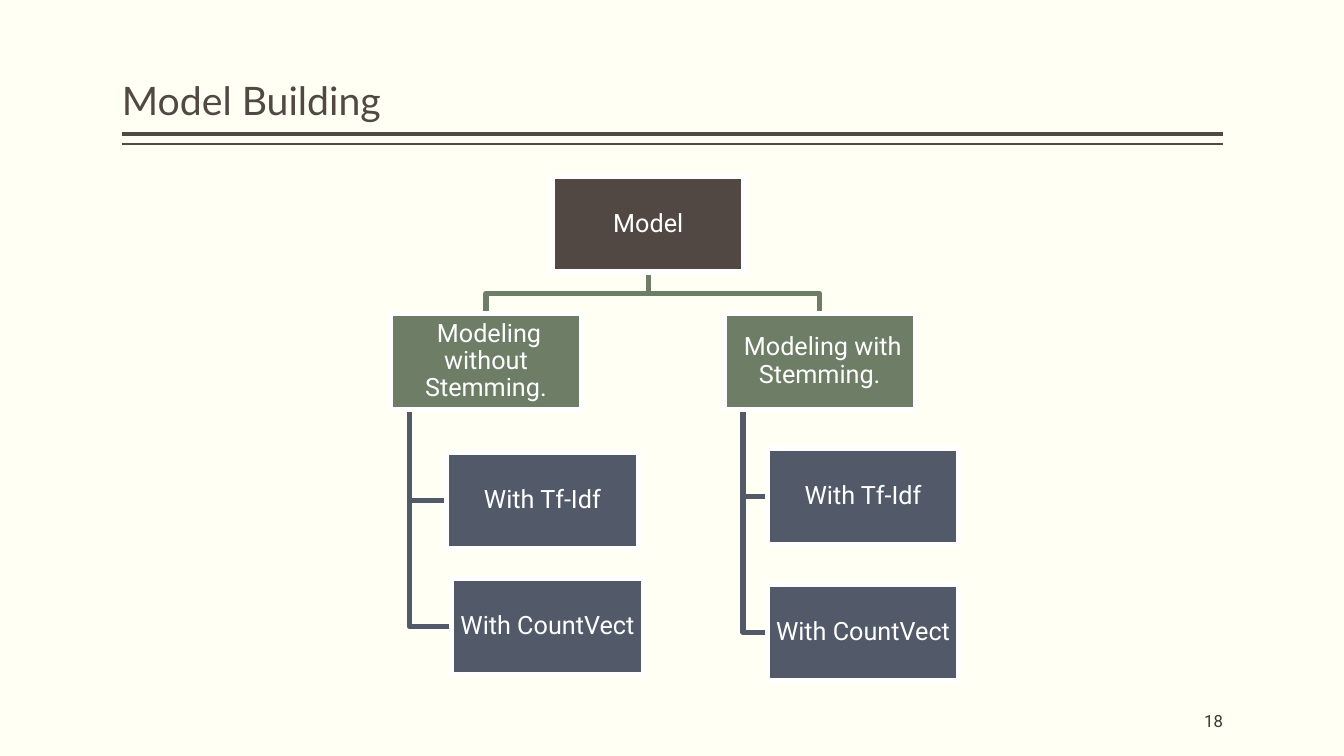
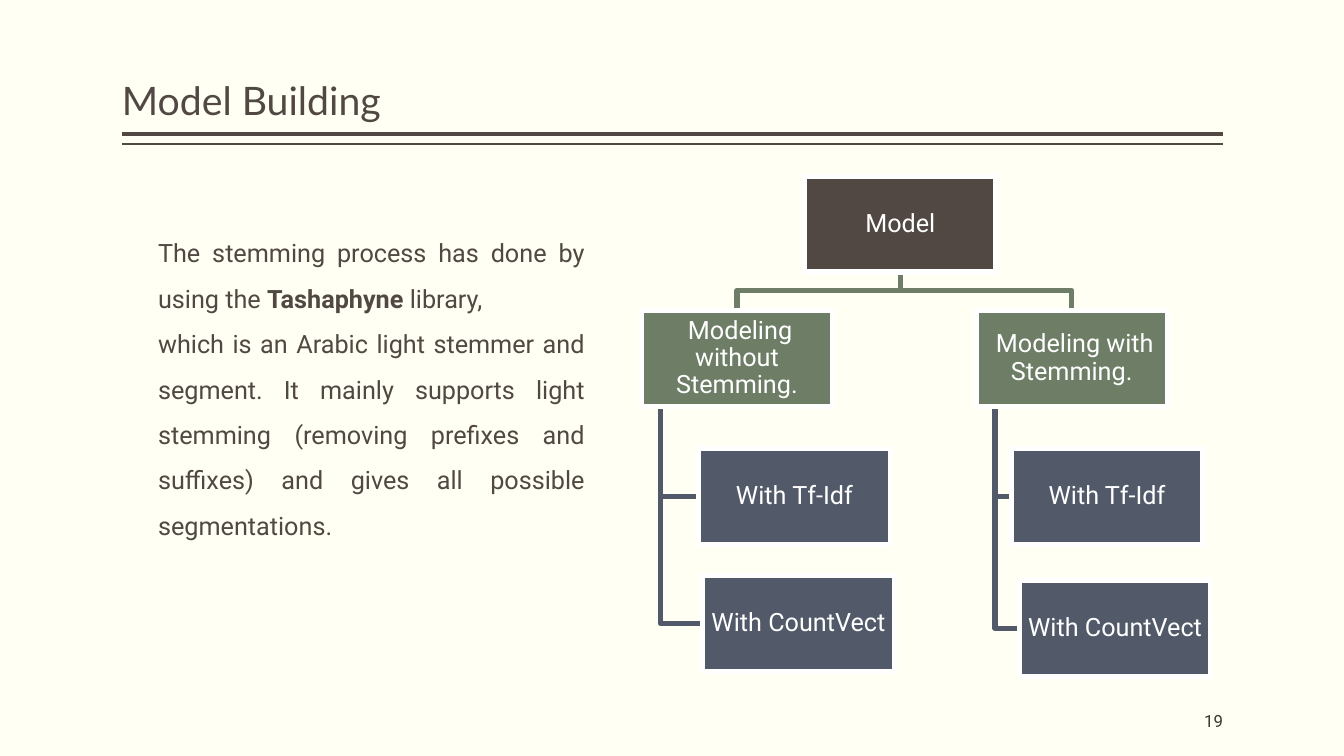
from pptx import Presentation
from pptx.dml.color import RGBColor
from pptx.enum.shapes import MSO_CONNECTOR, MSO_SHAPE
from pptx.enum.text import MSO_ANCHOR, MSO_AUTO_SIZE, PP_ALIGN
from pptx.oxml.ns import qn
from pptx.util import Inches, Pt
from lxml.etree import SubElement

IVORY = RGBColor(0xFF, 0xFF, 0xF3)
WHITE = RGBColor(0xFF, 0xFF, 0xFF)
BROWN = RGBColor(0x51, 0x48, 0x43)
DARK_BROWN = RGBColor(0x3D, 0x36, 0x32)
GREEN = RGBColor(0x6D, 0x7D, 0x66)
SLATE = RGBColor(0x52, 0x5A, 0x6A)

HEADING_FONT = {"name": "Lato", "size": Pt(28), "bold": False}
BODY_FONT = {"name": "Roboto", "size": Pt(18), "bold": False}
BOLD_FONT = BODY_FONT | {"bold": True}
NUMBER_FONT = BODY_FONT | {"size": Pt(12)}

MARGIN, CONTENT_WIDTH = 1.21, 10.92
NODE_WIDTH, NODE_HEIGHT = 1.9, 0.95
TREE_LINE = Pt(3.78)
SPINE_INDENT, ELBOW_RISE = 0.19, 0.2

BRANCH_TEXTS = (" Modeling without Stemming.", " Modeling with Stemming.")
LEAF_TEXTS = ("With Tf-Idf", "With CountVect")

WIDE_TREE = {
    "root_left": 1.61,
    "branch_top": 1.36,
    "branches": (
        (0, ((0.56, 2.74), (0.61, 3.99))),
        (3.31, ((3.74, 2.7), (3.74, 4.05))),
    ),
}
SIDE_TREE = {
    "root_left": 1.62,
    "branch_top": 1.33,
    "branches": (
        (0, ((0.57, 2.7), (0.61, 3.96))),
        (3.32, ((3.67, 2.7), (3.75, 4.01))),
    ),
}

STEMMING_TEXT = (
    (
        ("The stemming process has done by using the ", BODY_FONT),
        ("Tashaphyne", BOLD_FONT),
        (" library,", BODY_FONT),
    ),
    (
        (
            "which is an Arabic light stemmer and segment. It mainly supports "
            "light stemming (removing prefixes and suffixes) and gives all "
            "possible segmentations.",
            BODY_FONT,
        ),
    ),
)


def apply(target, values):
    for name, value in values.items():
        setattr(target, name, value)


def set_insets(frame, across, down):
    apply(frame, {
        "margin_left": Inches(across),
        "margin_right": Inches(across),
        "margin_top": Inches(down),
        "margin_bottom": Inches(down),
    })


def add_span(para, text, font, color):
    span = para.add_run()
    span.text = text
    apply(span.font, font)
    span.font.color.rgb = color


def add_title(page, text):
    title = page.shapes.title
    apply(title, {
        "left": Inches(MARGIN),
        "top": Inches(0.08),
        "width": Inches(CONTENT_WIDTH),
        "height": Inches(1.2),
    })
    frame = title.text_frame
    apply(frame, {
        "word_wrap": True,
        "auto_size": MSO_AUTO_SIZE.NONE,
        "vertical_anchor": MSO_ANCHOR.BOTTOM,
    })
    set_insets(frame, 0, 0.05)
    para = frame.paragraphs[0]
    apply(para, {"alignment": PP_ALIGN.LEFT, "line_spacing": 0.9})
    add_span(para, text, HEADING_FONT, BROWN)


def add_title_rules(page):
    for top, weight in ((1.33, 3), (1.43, 1)):
        rule = page.shapes.add_connector(
            MSO_CONNECTOR.STRAIGHT,
            Inches(MARGIN), Inches(top),
            Inches(MARGIN + CONTENT_WIDTH), Inches(top),
        )
        rule.line.color.rgb = BROWN
        rule.line.width = Pt(weight)
        SubElement(rule._element.spPr, qn("a:effectLst"))


def add_page_number(page, number):
    box = page.shapes.add_textbox(
        Inches(10.13), Inches(6.95), Inches(2), Inches(0.4)
    )
    frame = box.text_frame
    apply(frame, {"word_wrap": True, "vertical_anchor": MSO_ANCHOR.MIDDLE})
    set_insets(frame, 0, 0.05)
    para = frame.paragraphs[0]
    para.alignment = PP_ALIGN.RIGHT
    add_span(para, str(number), NUMBER_FONT, DARK_BROWN)


def add_page(deck, title, number):
    page = deck.slides.add_slide(deck.slide_layouts[5])
    add_title(page, title)
    add_title_rules(page)
    add_page_number(page, number)
    return page


def add_node(page, left, top, text, color):
    node = page.shapes.add_shape(
        MSO_SHAPE.RECTANGLE,
        Inches(left), Inches(top), Inches(NODE_WIDTH), Inches(NODE_HEIGHT),
    )
    node.shadow.inherit = False
    node.fill.solid()
    node.fill.fore_color.rgb = color
    node.line.color.rgb = WHITE
    node.line.width = TREE_LINE
    frame = node.text_frame
    apply(frame, {"word_wrap": True, "vertical_anchor": MSO_ANCHOR.MIDDLE})
    set_insets(frame, 0.01, 0.01)
    para = frame.paragraphs[0]
    apply(para, {"alignment": PP_ALIGN.CENTER, "line_spacing": 0.9})
    add_span(para, text, BODY_FONT, WHITE)


def add_elbow(page, points, color):
    start, *rest = [(Inches(x), Inches(y)) for x, y in points]
    builder = page.shapes.build_freeform(*start, scale=1.0)
    builder.add_line_segments(rest, close=False)
    elbow = builder.convert_to_shape()
    elbow.shadow.inherit = False
    elbow.fill.background()
    elbow.line.color.rgb = color
    elbow.line.width = TREE_LINE


def add_tree(page, left, top, layout):
    root_left = left + layout["root_left"]
    root_center = root_left + NODE_WIDTH / 2
    branch_top = top + layout["branch_top"]
    elbow_top = branch_top - ELBOW_RISE
    nodes = [(root_left, top, "Model", BROWN)]

    for branch_text, (offset, leaves) in zip(BRANCH_TEXTS, layout["branches"]):
        branch_left = left + offset
        branch_center = branch_left + NODE_WIDTH / 2
        spine = branch_left + SPINE_INDENT
        add_elbow(page, (
            (root_center, top + NODE_HEIGHT),
            (root_center, elbow_top),
            (branch_center, elbow_top),
            (branch_center, branch_top),
        ), GREEN)
        nodes.append((branch_left, branch_top, branch_text, GREEN))
        for leaf_text, (leaf_x, leaf_y) in zip(LEAF_TEXTS, leaves):
            leaf_left, leaf_top = left + leaf_x, top + leaf_y
            leaf_middle = leaf_top + NODE_HEIGHT / 2
            add_elbow(page, (
                (spine, branch_top + NODE_HEIGHT),
                (spine, leaf_middle),
                (leaf_left, leaf_middle),
            ), SLATE)
            nodes.append((leaf_left, leaf_top, leaf_text, SLATE))

    for node in nodes:
        add_node(page, *node)


def add_description(page, left, top, width, height):
    box = page.shapes.add_textbox(
        Inches(left), Inches(top), Inches(width), Inches(height)
    )
    frame = box.text_frame
    apply(frame, {
        "word_wrap": True,
        "auto_size": MSO_AUTO_SIZE.SHAPE_TO_FIT_TEXT,
    })
    for index, spans in enumerate(STEMMING_TEXT):
        para = frame.add_paragraph() if index else frame.paragraphs[0]
        apply(para, {"alignment": PP_ALIGN.JUSTIFY, "line_spacing": 1.5})
        for text, font in spans:
            add_span(para, text, font, BROWN)


def main():
    deck = Presentation()
    deck.slide_width = Inches(13.33)
    deck.slide_height = Inches(7.5)
    background = deck.slide_master.background.fill
    background.solid()
    background.fore_color.rgb = IVORY

    overview = add_page(deck, "Model Building", 18)
    add_tree(overview, 3.87, 1.75, WIDE_TREE)

    stemming = add_page(deck, "Model Building", 19)
    add_tree(stemming, 6.36, 1.75, SIDE_TREE)
    add_description(stemming, 1.47, 2.16, 4.43, 3.22)

    deck.save("out.pptx")


if __name__ == "__main__":
    main()
